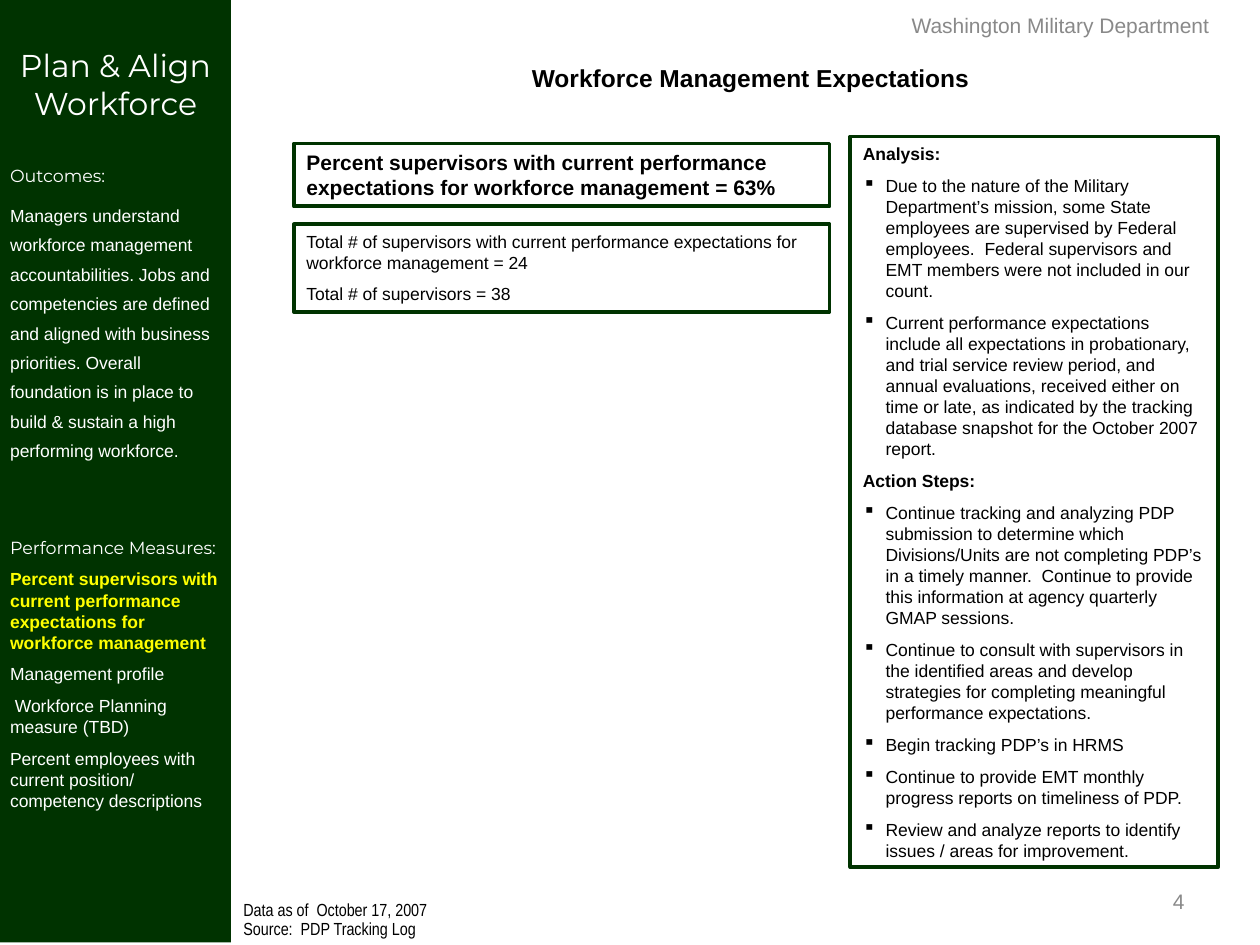
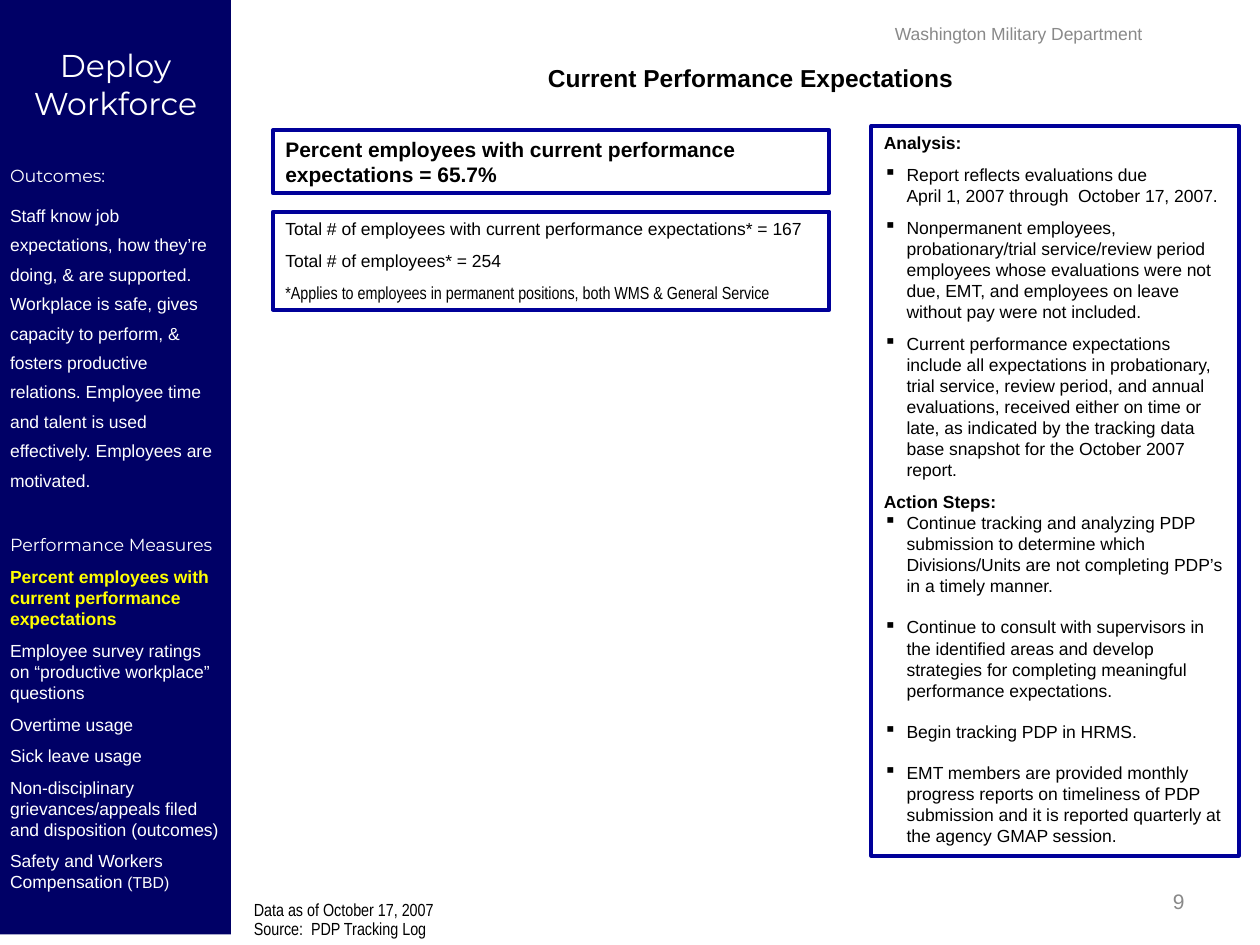
"""Build two workforce report slides with a side band, key figures and notes."""
from dataclasses import dataclass, field
from typing import Any

import lxml.etree
import pptx
import pptx.dml.color
import pptx.enum.shapes
import pptx.enum.text
import pptx.oxml.ns
import pptx.util

Pt = pptx.util.Pt
ALIGN = pptx.enum.text.PP_ALIGN
ANCHOR = pptx.enum.text.MSO_ANCHOR

HUES = {
    "black": "000000",
    "white": "FFFFFF",
    "gray": "898989",
    "yellow": "FFFF00",
    "green": "003300",
    "navy": "000066",
    "blue": "000099",
}
GAP = 6.2
BLANK = 18.4
HANG = 13
AGENCY = "Washington Military Department"


@dataclass(frozen=True)
class Style:
    """Looks of one kind of paragraph."""
    size: float = 10
    face: str = "Arial"
    hue: str = "black"
    bold: bool = False
    align: Any = ALIGN.LEFT
    space: float = GAP
    line: float = 1.0
    bullet: bool = False


@dataclass(frozen=True)
class Para:
    """One paragraph, with its own space before and a small tail if given."""
    text: str
    style: Style
    space: float | None = None
    tail: str = ""


@dataclass(frozen=True)
class Box:
    """Place, outline, fill and insets of a text frame."""
    left: float
    top: float
    width: float
    height: float
    line: str = ""
    fill: str = ""
    inset: tuple[float, float] = (7.2, 3.6)
    anchor: Any = ANCHOR.TOP


@dataclass(frozen=True)
class Page:
    """All that differs from slide to slide."""
    number: str
    title: str
    band: Box
    theme: str
    goal: str
    aim: str
    skip: int
    label: str
    focus: str
    others: list[Para]
    head: Box
    head_size: float
    key_box: Box
    key: str
    sum_box: Box
    sums: list[Para]
    note_box: Box
    notes: list[Para]
    foot_left: float
    date: str


BODY = Style()
BOLD = Style(bold=True)
POINT = Style(bullet=True)
NARROW = Style(face="Arial Narrow")
FOOT = Style(face="Arial Narrow", space=2.5, line=0.7)
TITLE = Style(14, bold=True, align=ALIGN.CENTER)
KEY = Style(12, bold=True)
NUMBER = Style(12, hue="gray", align=ALIGN.RIGHT)
THEME = Style(18, "Montserrat", "white", align=ALIGN.CENTER)
LABEL = Style(face="Montserrat", hue="white")
AIM = Style(hue="white", line=1.4)
FOCUS = Style(hue="yellow", bold=True)
ITEM = Style(hue="white")


def color(name: str) -> pptx.dml.color.RGBColor:
    """Return the named colour."""
    return pptx.dml.color.RGBColor.from_string(HUES[name])


def apply(target: Any, values: dict[str, Any]) -> None:
    """Set each named value on the target."""
    for name, value in values.items():
        setattr(target, name, value)


def add_mark(para: Any) -> None:
    """Give a paragraph a square black bullet."""
    props = para._p.get_or_add_pPr()
    qn = pptx.oxml.ns.qn
    tint = lxml.etree.SubElement(props, qn("a:buClr"))
    lxml.etree.SubElement(tint, qn("a:srgbClr"), val=HUES["black"])
    lxml.etree.SubElement(props, qn("a:buChar"), char="▪")
    props.set("marL", str(Pt(HANG)))
    props.set("indent", str(-Pt(HANG)))


def paint(run: Any, style: Style, size: float) -> None:
    """Set the font of a run."""
    apply(run.font, {"size": Pt(size), "name": style.face, "bold": style.bold})
    run.font.color.rgb = color(style.hue)


def write(frame: Any, paras: list[Para]) -> None:
    """Fill a text frame with paragraphs."""
    for index, item in enumerate(paras):
        style = item.style
        para = frame.add_paragraph() if index else frame.paragraphs[0]
        para.text = item.text
        if style.bullet:
            add_mark(para)
        space = style.space if item.space is None else item.space
        apply(para, {
            "alignment": style.align,
            "line_spacing": style.line,
            "space_before": Pt(space if index else 0),
            "space_after": Pt(0),
        })
        for run in para.runs:
            paint(run, style, style.size)
        if item.tail:
            run = para.add_run()
            run.text = item.tail
            paint(run, style, style.size - 1)


def draw(slide: Any, box: Box, paras: list[Para]) -> None:
    """Draw a box with its text."""
    place = [Pt(size) for size in (box.left, box.top, box.width, box.height)]
    if box.line or box.fill:
        kind = pptx.enum.shapes.MSO_SHAPE.RECTANGLE
        shape = slide.shapes.add_shape(kind, *place)
        shape.shadow.inherit = False
        if box.fill:
            shape.fill.solid()
            shape.fill.fore_color.rgb = color(box.fill)
        else:
            shape.fill.background()
        if box.line:
            shape.line.color.rgb = color(box.line)
            shape.line.width = Pt(2.25)
        else:
            shape.line.fill.background()
    else:
        shape = slide.shapes.add_textbox(*place)
    side, rim = box.inset
    apply(shape.text_frame, {
        "word_wrap": True,
        "vertical_anchor": box.anchor,
        "margin_left": Pt(side),
        "margin_right": Pt(side),
        "margin_top": Pt(rim),
        "margin_bottom": Pt(3.6),
    })
    write(shape.text_frame, paras)


def band(height: float, fill: str) -> Box:
    """Return the side band."""
    return Box(0, 0, 132, height, fill=fill, inset=(5.76, 26.3))


def head(left: float, top: float) -> Box:
    """Return the place of the agency name."""
    return Box(left, top, 228, 28.8, anchor=ANCHOR.MIDDLE)


def list_of(style: Style, *texts: str) -> list[Para]:
    """Return paragraphs of one style."""
    return [Para(text, style) for text in texts]


def build(deck: Any, page: Page) -> None:
    """Add one slide."""
    slide = deck.slides.add_slide(deck.slide_layouts[6])
    name = Style(page.head_size, hue="gray", align=ALIGN.CENTER)
    draw(slide, page.head, [Para(AGENCY, name)])
    spot = Box(516, 500.4, 168, 28.8, anchor=ANCHOR.MIDDLE)
    draw(slide, spot, [Para(page.number, NUMBER)])
    draw(slide, page.note_box, page.notes)
    draw(slide, page.band, [
        Para(page.theme, THEME),
        Para(page.goal, LABEL, GAP + BLANK),
        Para(page.aim, AIM),
        Para(page.label, LABEL, GAP + BLANK * page.skip),
        Para(page.focus, FOCUS),
        *page.others,
    ])
    foot = Box(page.foot_left, 513.4, 348, 26.6)
    draw(slide, foot, list_of(FOOT, page.date, "Source:  PDP Tracking Log"))
    draw(slide, page.key_box, [Para(page.key, KEY)])
    draw(slide, page.sum_box, page.sums)
    draw(slide, Box(144, 32.4, 570, 24.5), [Para(page.title, TITLE)])


CONSULT = ("Continue to consult with supervisors in the identified areas and develop "
           "strategies for completing meaningful performance expectations.")
TRACK = ("Continue tracking and analyzing PDP submission to determine which "
         "Divisions/Units are not completing PDP’s in a timely manner.")

PAGES = [
    Page(
        number="4", title="Workforce Management Expectations",
        band=band(538.5, "green"), theme="Plan & Align Workforce", goal="Outcomes:",
        aim="Managers understand workforce management accountabilities. Jobs and "
            "competencies are defined and aligned with business priorities. Overall "
            "foundation is in place to build & sustain a high performing workforce.",
        skip=2, label="Performance Measures:",
        focus="Percent supervisors with current performance expectations for "
              "workforce management",
        others=list_of(
            ITEM, "Management profile", " Workforce Planning measure (TBD)",
            "Percent employees with current position/ competency descriptions"),
        head=head(492, 0), head_size=12,
        key_box=Box(168, 82, 306, 36, "green"),
        key="Percent supervisors with current performance expectations for "
            "workforce management = 63%",
        sum_box=Box(168, 128.2, 306, 50, "green"),
        sums=list_of(
            BODY, "Total # of supervisors with current performance expectations for "
            "workforce management = 24", "Total # of supervisors = 38"),
        note_box=Box(486, 78, 210, 417.6, "green"),
        notes=[
            Para("Analysis:", BOLD),
            *list_of(
                POINT,
                "Due to the nature of the Military Department’s mission, some State "
                "employees are supervised by Federal employees.  Federal supervisors "
                "and EMT members were not included in our count.",
                "Current performance expectations include all expectations in "
                "probationary, and trial service review period, and annual "
                "evaluations, received either on time or late, as indicated by the "
                "tracking database snapshot for the October 2007 report."),
            Para("Action Steps:", BOLD),
            *list_of(
                POINT,
                TRACK + "  Continue to provide this information at agency quarterly "
                "GMAP sessions.",
                CONSULT,
                "Begin tracking PDP’s in HRMS",
                "Continue to provide EMT monthly progress reports on timeliness of PDP.",
                "Review and analyze reports to identify issues / areas for "
                "improvement."),
        ],
        foot_left=132, date="Data as of  October 17, 2007",
    ),
    Page(
        number="9", title="Current Performance Expectations",
        band=band(534, "navy"), theme="Deploy Workforce", goal="Outcomes:",
        aim="Staff know job expectations, how they’re doing, & are supported. "
            "Workplace is safe, gives capacity to perform, & fosters productive "
            "relations. Employee time and talent is used effectively. Employees are "
            "motivated.",
        skip=1, label="Performance Measures",
        focus="Percent employees with current performance expectations",
        others=[
            *list_of(
                ITEM, "Employee survey ratings on “productive workplace” questions",
                "Overtime usage", "Sick leave usage",
                "Non-disciplinary grievances/appeals filed and disposition (outcomes)"),
            Para("Safety and Workers Compensation ", ITEM, 5.6, "(TBD)"),
        ],
        head=head(468, 5), head_size=10,
        key_box=Box(156, 74.4, 318, 36, "blue"),
        key="Percent employees with current performance expectations = 65.7%",
        sum_box=Box(156, 121, 318, 56, "blue"),
        sums=[
            *list_of(
                BODY, "Total # of employees with current performance expectations* = 167",
                "Total # of employees* = 254"),
            Para("*Applies to employees in permanent positions, both WMS & General "
                 "Service", NARROW),
        ],
        note_box=Box(498, 72, 210, 417, "blue"),
        notes=[
            Para("Analysis:", BOLD),
            *list_of(
                POINT,
                "Report reflects evaluations due\vApril 1, 2007 through  October 17, "
                "2007.",
                "Nonpermanent employees, probationary/trial service/review period "
                "employees whose evaluations were not due, EMT, and employees on leave "
                "without pay were not included.",
                "Current performance expectations include all expectations in "
                "probationary, trial service, review period, and annual evaluations, "
                "received either on time or late, as indicated by the tracking data "
                "base snapshot for the October 2007 report."),
            Para("Action Steps:", BOLD),
            Para(TRACK, POINT, 0),
            *(Para(text, POINT, 11.5) for text in (
                CONSULT,
                "Begin tracking PDP in HRMS.",
                "EMT members are provided monthly progress reports on timeliness of "
                "PDP submission and it is reported quarterly at the agency GMAP "
                "session.")),
        ],
        foot_left=138, date="Data as of October 17, 2007",
    ),
]


def main() -> None:
    """Build and save the deck."""
    deck = pptx.Presentation()
    apply(deck, {"slide_width": Pt(720), "slide_height": Pt(540)})
    for page in PAGES:
        build(deck, page)
    deck.save("out.pptx")


if __name__ == "__main__":
    main()
